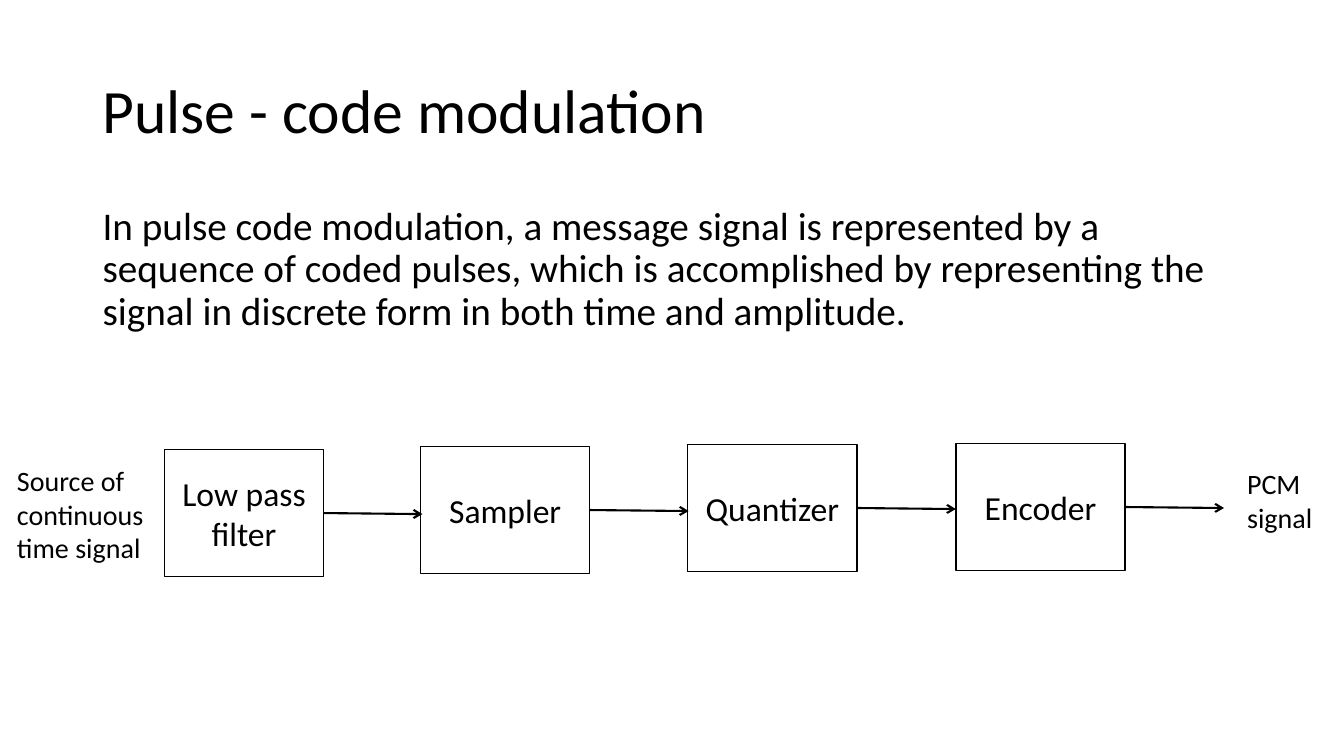
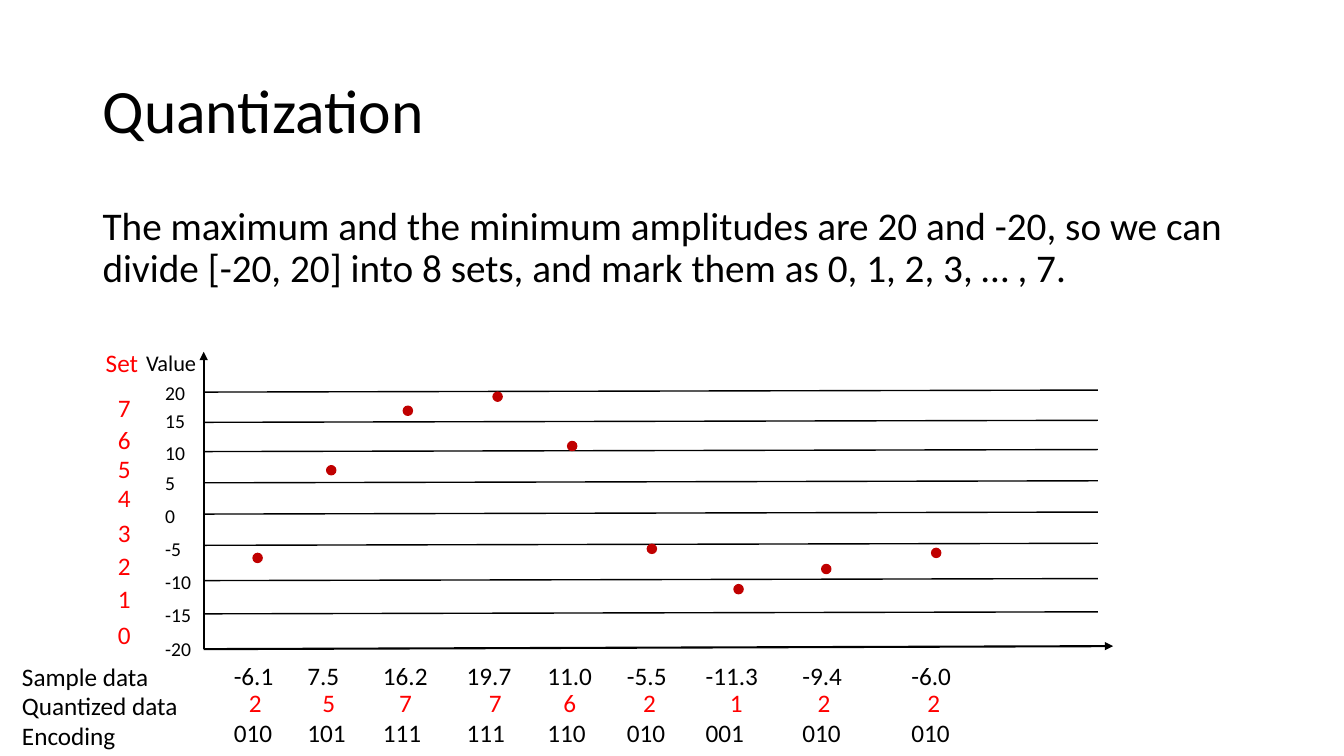
from pptx import Presentation
from pptx.dml.color import RGBColor
from pptx.enum.shapes import MSO_CONNECTOR, MSO_SHAPE
from pptx.enum.text import MSO_ANCHOR, PP_ALIGN
from pptx.oxml.ns import qn
from pptx.util import Inches, Pt
from lxml import etree

BLACK = RGBColor(0x00, 0x00, 0x00)
WHITE = RGBColor(0xFF, 0xFF, 0xFF)
RED = RGBColor(0xFF, 0x00, 0x00)
DARK_RED = RGBColor(0xC0, 0x00, 0x00)
FONT = "Calibri"
TOP, MIDDLE = MSO_ANCHOR.TOP, MSO_ANCHOR.MIDDLE
LEFT, CENTER = PP_ALIGN.LEFT, PP_ALIGN.CENTER
RECTANGLE, OVAL = MSO_SHAPE.RECTANGLE, MSO_SHAPE.OVAL
STRAIGHT = MSO_CONNECTOR.STRAIGHT

# Content: title and statement of each slide
MODULATION = (
    "Pulse - code modulation",
    "In pulse code modulation, a message signal is represented by a sequence of "
    "coded pulses, which is accomplished by representing the signal in discrete "
    "form in both time and amplitude.",
)
QUANTIZATION = (
    "Quantization",
    "The maximum and the minimum amplitudes are 20 and -20, so we can divide "
    "[-20, 20] into 8 sets, and mark them as 0, 1, 2, 3, \u2026 , 7.",
)

# Content: block diagram, stage = (name, left, top, width)
STAGES = [
    ("Low pass filter", 1.63, 4.46, 1.58),
    ("Sampler", 4.17, 4.43, 1.68),
    ("Quantizer", 6.82, 4.41, 1.68),
    ("Encoder", 9.48, 4.4, 1.68),
]
STAGE_HEIGHT, ARROW_LENGTH = 1.26, 0.98
ENDS = [
    ("Source of continuous time signal", (0.07, 4.55, 1.6, 1.1)),
    ("PCM signal", (12.27, 4.58, 0.95, 0.77)),
]

# Content: scale of the plot, from the top down
LEVEL_LINES = [3.89, 4.19, 4.48, 4.79, 5.1, 5.41, 5.76, 6.09]
VALUE_TOPS = [3.73, 4.01, 4.33, 4.62, 4.95, 5.28, 5.6, 5.93, 6.27]
SET_TOPS = [3.84, 4.16, 4.45, 4.74, 5.08, 5.41, 5.74, 6.09]
MAXIMUM, STEP = 20, 5
AXIS_LEFT, AXIS_BOTTOM, AXIS_TOP = 2.02, 6.44, 3.49
AXIS_RIGHT, LEVEL_RIGHT = 11.04, 10.89

# Content: sample = (column left, dot left, dot top, sample, set, code)
SAMPLES = [
    (2.22, 2.51, 5.49, "-6.1", "2", "010"),
    (2.95, 3.24, 4.62, "7.5", "5", "101"),
    (3.7, 4, 4.03, "16.2", "7", "111"),
    (4.53, 4.89, 3.89, "19.7", "7", "111"),
    (5.33, 5.63, 4.38, "11.0", "6", "110"),
    (6.12, 6.42, 5.4, "-5.5", "2", "010"),
    (6.9, 7.28, 5.8, "-11.3", "1", "001"),
    (7.86, 8.15, 5.6, "-9.4", "2", "010"),
    (8.94, 9.24, 5.44, "-6.0", "2", "010"),
]
ROW_NAMES = ["Sample data", "Quantized data", "Encoding"]
ROW_NAME_TOPS = [6.51, 6.8, 7.1]
ROW_TOPS = [6.5, 6.77, 7.07]
DOT_SIZE, QUANTIZED_INDENT = 0.09, 0.14


# Shared helpers
def inches(lengths):
    return [Inches(length) for length in lengths]


def write(shape, text, size, color=BLACK, anchor=TOP, **paragraph_format):
    frame = shape.text_frame
    frame.word_wrap = True
    frame.vertical_anchor = anchor
    paragraph = frame.paragraphs[0]
    for name, value in paragraph_format.items():
        setattr(paragraph, name, value)
    run = paragraph.add_run()
    run.text = text
    for name, value in {"name": FONT, "size": Pt(size)}.items():
        setattr(run.font, name, value)
    run.font.color.rgb = color


def add_text(slide, box, text, size, color=BLACK, **formats):
    write(slide.shapes.add_textbox(*inches(box)), text, size, color, **formats)


def add_figure(slide, kind, box, fill, line):
    shape = slide.shapes.add_shape(kind, *inches(box))
    shape.shadow.inherit = False
    shape.fill.solid()
    shape.fill.fore_color.rgb = fill
    shape.line.color.rgb = line
    shape.line.width = Pt(1)
    return shape


def add_line(slide, start, end, width=1, head=None):
    connector = slide.shapes.add_connector(STRAIGHT, *inches(start + end))
    connector.line.color.rgb = BLACK
    connector.line.width = Pt(width)
    if head:
        line_xml = connector.line._get_or_add_ln()
        etree.SubElement(line_xml, qn("a:tailEnd")).set("type", head)
    etree.SubElement(connector._element.spPr, qn("a:effectLst"))


def add_slide(presentation, title, statement):
    slide = presentation.slides.add_slide(presentation.slide_layouts[6])
    add_text(slide, (0.92, 0.4, 11.5, 1.45), title, 44,
             anchor=MIDDLE, line_spacing=0.9)
    add_text(slide, (0.92, 2, 11.5, 1.4), statement, 28,
             line_spacing=0.9, space_before=Pt(10))
    return slide


presentation = Presentation()
presentation.slide_width, presentation.slide_height = inches((13.33, 7.5))

# Slide 1: block diagram
slide = add_slide(presentation, *MODULATION)
for name, left, top, width in STAGES:
    stage = add_figure(slide, RECTANGLE, (left, top, width, STAGE_HEIGHT), WHITE, BLACK)
    write(stage, name, 24, anchor=MIDDLE, alignment=CENTER)
for name, left, top, width in STAGES:
    right, middle = left + width, top + STAGE_HEIGHT / 2
    add_line(slide, (right, middle), (right + ARROW_LENGTH, middle + 0.01), 1.5, "arrow")
for text, box in ENDS:
    add_text(slide, box, text, 20)

# Slide 2: axes and levels
slide = add_slide(presentation, *QUANTIZATION)
origin = (AXIS_LEFT, AXIS_BOTTOM)
for end in [(AXIS_RIGHT, AXIS_BOTTOM - 0.03), (AXIS_LEFT, AXIS_TOP)]:
    add_line(slide, origin, end, 1.5, "triangle")
for level in LEVEL_LINES:
    add_line(slide, (AXIS_LEFT, level), (LEVEL_RIGHT, level - 0.02))

# Slide 2: value and set labels
add_text(slide, (1.35, 3.41, 0.79, 0.37), "Value", 16)
add_text(slide, (0.95, 3.4, 0.79, 0.4), "Set", 18, RED)
for index, top in enumerate(VALUE_TOPS):
    add_text(slide, (1.54, top, 0.48, 0.34), str(MAXIMUM - STEP * index), 14)
for index, top in enumerate(SET_TOPS):
    add_text(slide, (1.07, top, 0.57, 0.4), str(len(SET_TOPS) - 1 - index), 18, RED)

# Slide 2: samples and their codes
for name, top in zip(ROW_NAMES, ROW_NAME_TOPS):
    add_text(slide, (0.12, top, 1.77, 0.4), name, 18)
for left, dot_left, dot_top, *entries in SAMPLES:
    add_figure(slide, OVAL, (dot_left, dot_top, DOT_SIZE, DOT_SIZE), DARK_RED, DARK_RED)
    lefts = (left, dot_left - QUANTIZED_INDENT, left)
    for entry_left, top, entry, color in zip(lefts, ROW_TOPS, entries, (BLACK, RED, BLACK)):
        add_text(slide, (entry_left, top, 0.75, 0.4), entry, 18, color)

presentation.save("out.pptx")
